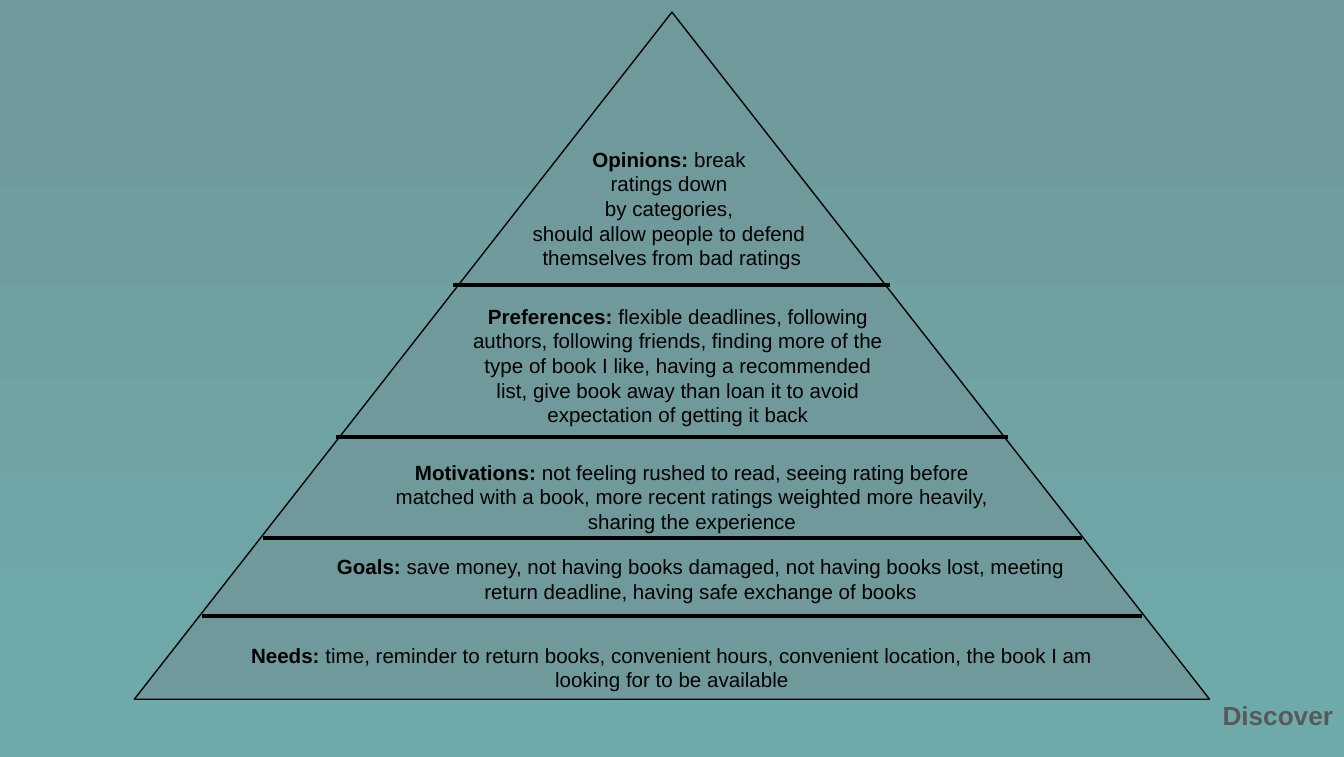
"""Build a pyramid slide of reader needs, from opinions down to basics."""
from dataclasses import dataclass

from lxml import etree
from pptx import Presentation
from pptx import util as u
from pptx.dml.color import RGBColor
from pptx.enum import shapes, text
from pptx.oxml import ns

BLACK, GREY, SLATE, TEAL = "000000", "595959", "6F999B", "6FAAAB"


@dataclass
class Level:
    left: float
    top: float
    width: float
    height: float
    label: str
    lines: list[str]


@dataclass
class Divider:
    left: float
    right: float
    y: float


LEVELS = [
    Level(3, 1.04, 4, 1.02, "Opinions:", [
        " break ", "ratings down ", "by categories, ",
        "should allow people to defend ", "themselves from bad ratings"]),
    Level(3.42, 2.21, 3.25, 1.02, "Preferences:", [
        " flexible deadlines, following authors, following friends, finding more "
        "of the type of book I like, having a recommended list, give book away "
        "than loan it to avoid expectation of getting it back"]),
    Level(2.75, 3.37, 4.8, 0.61, "Motivations:", [
        " not feeling rushed to read, seeing rating before matched with a book, "
        "more recent ratings weighted more heavily, sharing the experience"]),
    Level(2.34, 4.07, 5.75, 0.5, "Goals:", [
        " save money, not having books damaged, not having books lost, meeting "
        "return deadline, having safe exchange of books"]),
    Level(1.75, 4.73, 6.5, 0.5, "Needs:", [
        " time, reminder to return books, convenient hours, convenient location, "
        "the book I am looking for to be available"]),
]
DIVIDERS = [Divider(3.37, 6.62, 2.12), Divider(2.5, 7.5, 3.25),
            Divider(1.96, 8.05, 4), Divider(1.5, 8.5, 4.58)]


def rgb(value: str) -> RGBColor:
    return RGBColor.from_string(value)


def apply(obj, values: dict) -> None:
    for name, value in values.items():
        setattr(obj, name, value)


def add_run(p, content: str, size: float, color: str, bold: bool) -> None:
    r = p.add_run()
    r.text = content
    apply(r.font, {"name": "Arial", "size": u.Pt(size), "bold": bold})
    r.font.color.rgb = rgb(color)


def outline(line) -> None:
    line.color.rgb = rgb(BLACK)
    line.width = u.Pt(0)


def add_background(s) -> None:
    fill = s.background.fill
    fill.gradient()
    fill.gradient_angle = 270
    for stop, color in zip(fill.gradient_stops, (SLATE, TEAL)):
        stop.color.rgb = rgb(color)


def add_pyramid(s) -> None:
    sp = s.shapes.add_shape(shapes.MSO_SHAPE.ISOSCELES_TRIANGLE, u.Inches(1),
                            u.Inches(0.09), u.Inches(8), u.Inches(5.11))
    sp.shadow.inherit = False
    sp.fill.solid()
    sp.fill.fore_color.rgb = rgb(SLATE)
    outline(sp.line)


def add_divider(s, divider: Divider) -> None:
    y = u.Inches(divider.y)
    sp = s.shapes.add_connector(shapes.MSO_CONNECTOR.STRAIGHT,
                                u.Inches(divider.left), y,
                                u.Inches(divider.right), y)
    outline(sp.line)
    etree.SubElement(sp._element.spPr, ns.qn("a:effectLst"))


def add_level(s, level: Level) -> None:
    sp = s.shapes.add_textbox(u.Inches(level.left), u.Inches(level.top),
                              u.Inches(level.width), u.Inches(level.height))
    tf = sp.text_frame
    tf.word_wrap = True
    for i, line in enumerate(level.lines):
        p = tf.add_paragraph() if i else tf.paragraphs[0]
        p.alignment = text.PP_ALIGN.CENTER
        if i == 0:
            add_run(p, level.label, 11, BLACK, True)
        add_run(p, line, 11, BLACK, False)


def add_title(s) -> None:
    sp = s.shapes.title
    apply(sp, {"left": u.Inches(8.91), "top": u.Inches(5.1),
               "width": u.Inches(1.11), "height": u.Inches(0.43)})
    tf = sp.text_frame
    apply(tf, {"word_wrap": True, "auto_size": text.MSO_AUTO_SIZE.NONE,
               "vertical_anchor": text.MSO_ANCHOR.MIDDLE,
               "margin_top": u.Inches(0.1), "margin_bottom": u.Inches(0.1)})
    p = tf.paragraphs[0]
    p.alignment = text.PP_ALIGN.RIGHT
    add_run(p, "Discover", 14, GREY, True)


def main() -> None:
    prs = Presentation()
    apply(prs, {"slide_width": u.Inches(10), "slide_height": u.Inches(5.63)})
    s = prs.slides.add_slide(prs.slide_layouts[5])
    add_background(s)
    add_pyramid(s)
    for divider in DIVIDERS:
        add_divider(s, divider)
    for level in LEVELS:
        add_level(s, level)
    add_title(s)
    prs.save("out.pptx")


if __name__ == "__main__":
    main()
